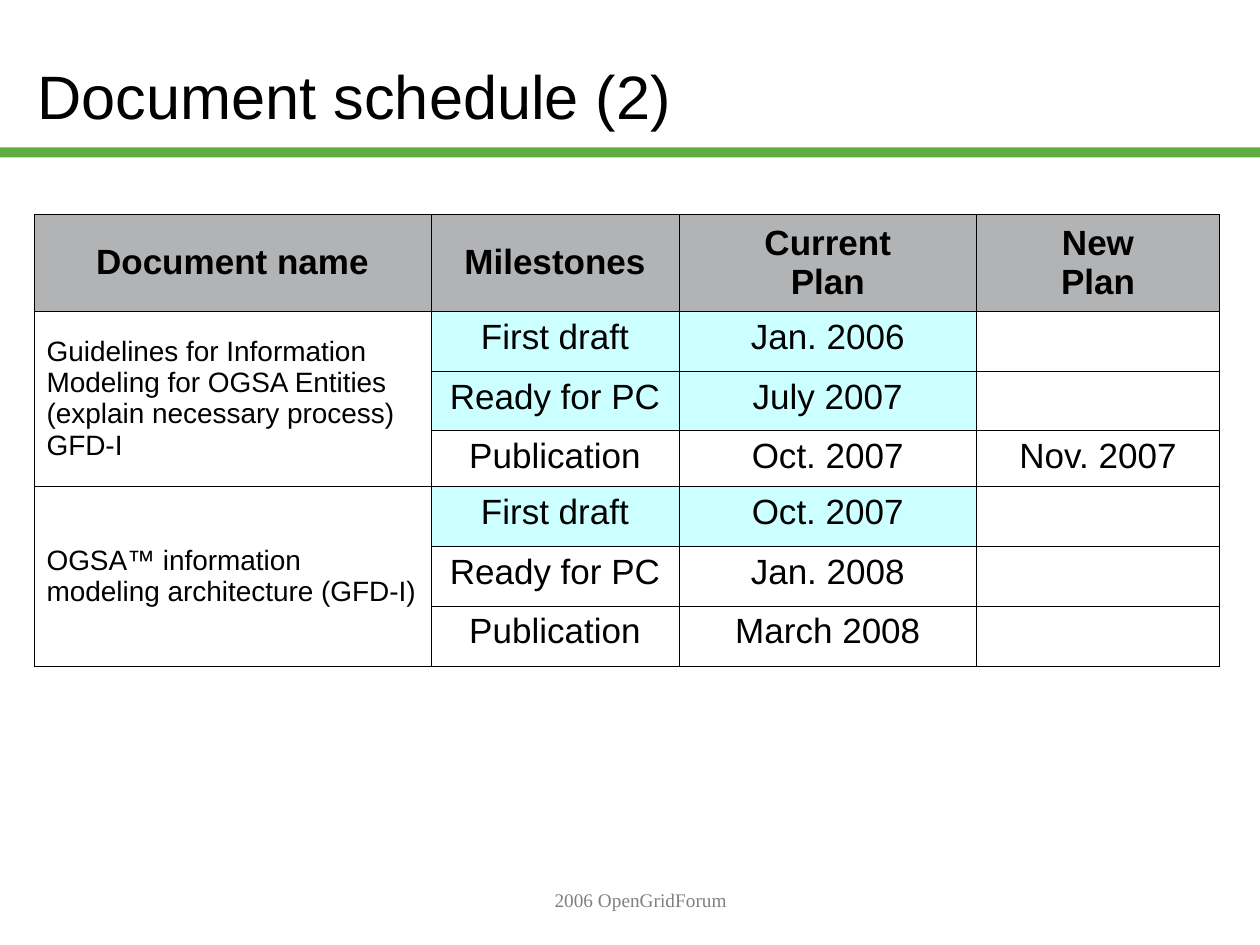
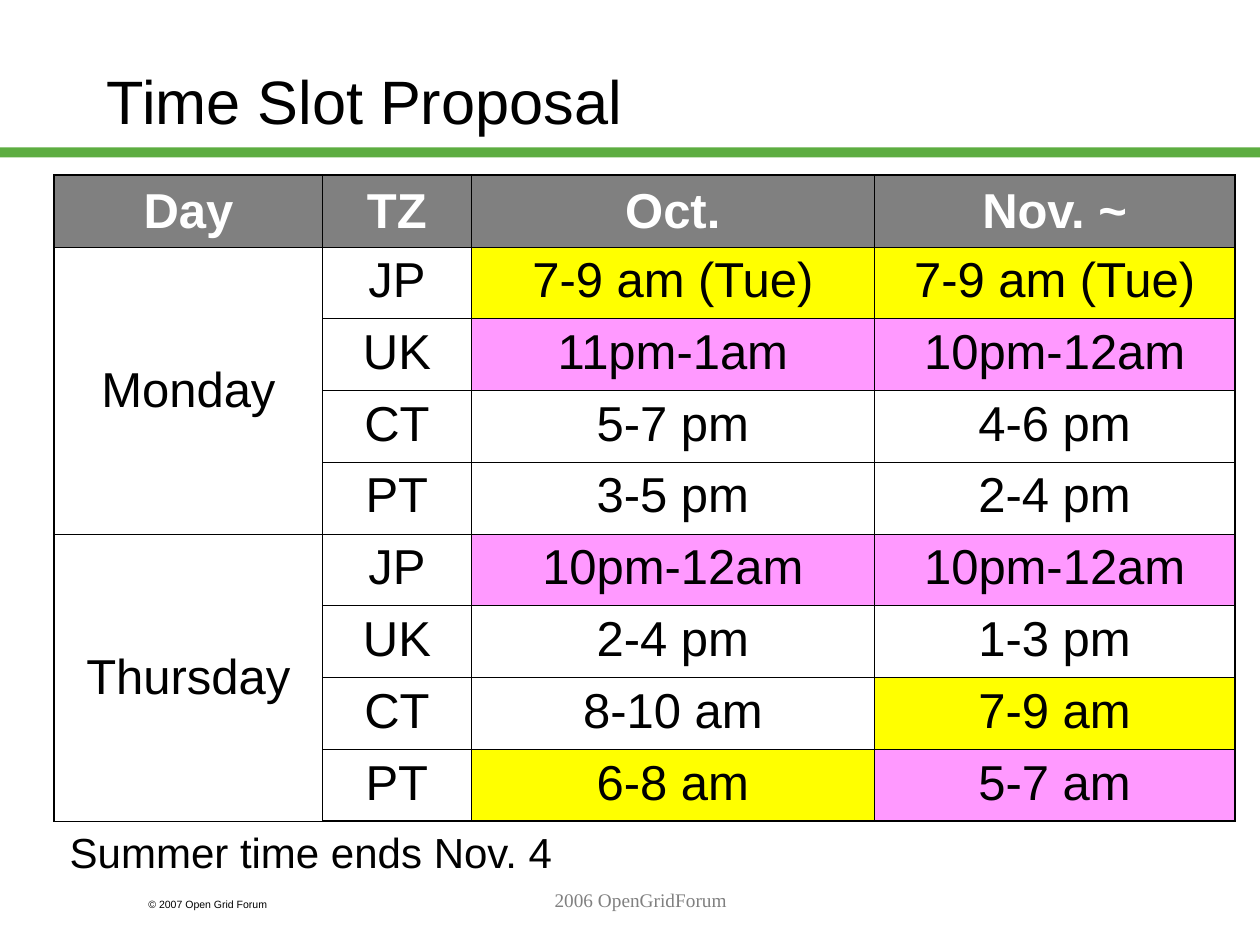
from lxml import etree
from pptx import Presentation
from pptx.dml.color import RGBColor
from pptx.enum import shapes, text
from pptx.oxml import ns
from pptx.util import Inches, Pt

COLOURS = {
    "ink": "000000", "paper": "FFFFFF", "band": "5DAD41", "footer": "808080",
    "silver": "B2B3B5", "grey": "808080", "done": "CCFFFF",
    "early": "FFFF00", "late": "FF99FF",
}
SANS, SERIF = "Arial", "Times New Roman"
LEFT, CENTER, RIGHT = text.PP_ALIGN.LEFT, text.PP_ALIGN.CENTER, text.PP_ALIGN.RIGHT
TOP, MIDDLE = text.MSO_ANCHOR.TOP, text.MSO_ANCHOR.MIDDLE
THIN, THICK = 0.45, 1.08

SCHEDULE = [
    ["Document name", "Milestones", "Current\nPlan", "New\nPlan"],
    ["Guidelines for Information Modeling for OGSA Entities\n"
     "(explain necessary process)\nGFD-I", "First draft", "Jan. 2006", ""],
    ["", "Ready for PC", "July 2007", ""],
    ["", "Publication", "Oct. 2007", "Nov. 2007"],
    ["OGSA™ information\nmodeling architecture (GFD-I)", "First draft", "Oct. 2007", ""],
    ["", "Ready for PC", "Jan. 2008", ""],
    ["", "Publication", "March 2008", ""],
]
SCHEDULE_FILLS = {(row, column): "done" for row in (1, 2, 4) for column in (1, 2)}

SLOTS = [
    ["Day", "TZ", "Oct.", "Nov. ~"],
    ["Monday", "JP", "7-9 am (Tue)", "7-9 am (Tue)"],
    ["", "UK", "11pm-1am", "10pm-12am"],
    ["", "CT", "5-7 pm", "4-6 pm"],
    ["", "PT", "3-5 pm", "2-4 pm"],
    ["Thursday", "JP", "10pm-12am", "10pm-12am"],
    ["", "UK", "2-4 pm", "1-3 pm"],
    ["", "CT", "8-10 am", "7-9 am"],
    ["", "PT", "6-8 am", "5-7 am"],
]
SLOT_FILLS = {
    (1, 2): "early", (1, 3): "early", (2, 2): "late", (2, 3): "late",
    (5, 2): "late", (5, 3): "late", (7, 3): "early", (8, 2): "early", (8, 3): "late",
}


def rgb(name):
    return RGBColor.from_string(COLOURS[name])


def write(frame, words, size, colour="ink", font=SANS, bold=False, align=LEFT):
    for index, line in enumerate(words.split("\n")):
        para = frame.paragraphs[0] if index == 0 else frame.add_paragraph()
        para.alignment = align
        span = para.add_run()
        span.text = line
        span.font.size = Pt(size)
        span.font.name = font
        span.font.bold = bold
        span.font.color.rgb = rgb(colour)


def add_text(page, place, words, size, anchor=TOP, wrap=True, **style):
    box = page.shapes.add_textbox(*map(Inches, place))
    box.text_frame.word_wrap = wrap
    box.text_frame.vertical_anchor = anchor
    write(box.text_frame, words, size, **style)


def add_page(deck, title, left, top):
    page = deck.slides.add_slide(deck.slide_layouts[6])
    band = page.shapes.add_shape(shapes.MSO_SHAPE.RECTANGLE, 0, Inches(1.17),
                                 deck.slide_width, Inches(0.08))
    band.shadow.inherit = False
    band.fill.solid()
    band.fill.fore_color.rgb = rgb("band")
    band.line.fill.background()
    add_text(page, (left, top, 8.5, 1.25), title, 35, anchor=MIDDLE)
    add_text(page, (2.17, 7, 5.83, 0.5), "2006 OpenGridForum", 11,
             colour="footer", font=SERIF, align=CENTER)
    return page


def set_borders(cell, widths):
    properties = cell._tc.get_or_add_tcPr()
    for side, width in zip("LRTB", widths):
        line = etree.SubElement(properties, ns.qn(f"a:ln{side}"), w=str(Pt(width)))
        fill = etree.SubElement(line, ns.qn("a:solidFill"))
        etree.SubElement(fill, ns.qn("a:srgbClr"), val=COLOURS["ink"])


def set_fill(cell, name):
    if name:
        cell.fill.solid()
        cell.fill.fore_color.rgb = rgb(name)
    else:
        cell.fill.background()


def add_grid(page, left, top, widths, heights, rows, fills, header_fill, header_ink,
             size, label_size, label_align, group, frame_width):
    frame = page.shapes.add_table(len(rows), len(widths), Inches(left), Inches(top),
                                  Inches(sum(widths)), Inches(sum(heights)))
    table = frame.table
    table.first_row = table.horz_banding = False
    for column, width in zip(table.columns, widths):
        column.width = Inches(width)
    for row, height in zip(table.rows, heights):
        row.height = Inches(height)
    last_row, last_column = len(rows) - 1, len(widths) - 1
    for r, row in enumerate(rows):
        for c, words in enumerate(row):
            cell = table.cell(r, c)
            header, label = r == 0, r > 0 and c == 0
            edges = (c == 0, c == last_column, r == 0, r == last_row)
            set_borders(cell, [frame_width if edge else THIN for edge in edges])
            set_fill(cell, header_fill if header else fills.get((r, c)))
            cell.vertical_anchor = MIDDLE if header or label else TOP
            if words:
                write(cell.text_frame, words, label_size if label else size,
                      colour=header_ink if header else "ink", bold=header,
                      align=label_align if label else CENTER)
    for first in range(1, len(rows), group):
        table.cell(first, 0).merge(table.cell(first + group - 1, 0))


def add_schedule(deck):
    page = add_page(deck, "Document schedule (2)", 0.2, 0.13)
    add_grid(page, 0.27, 1.7, [3.15, 1.97, 2.36, 1.93],
             [0.77, 0.48, 0.47, 0.44, 0.48, 0.47, 0.48], SCHEDULE, SCHEDULE_FILLS,
             "silver", "ink", size=20, label_size=16, label_align=LEFT,
             group=3, frame_width=THIN)


def add_time_slots(deck):
    page = add_page(deck, "Time Slot Proposal", 0.75, 0.17)
    add_grid(page, 0.43, 1.39, [2.13, 1.18, 3.2, 2.86], [0.57] * len(SLOTS),
             SLOTS, SLOT_FILLS, "grey", "paper", size=28, label_size=28,
             label_align=CENTER, group=4, frame_width=THICK)
    add_text(page, (0.43, 6.51, 4.05, 0.5), "Summer time ends Nov. 4", 24,
             wrap=False, align=RIGHT)
    add_text(page, (1.08, 7.08, 1.5, 0.2), "© 2007 Open Grid Forum", 6)


def main():
    deck = Presentation()
    deck.slide_width, deck.slide_height = Inches(10), Inches(7.5)
    add_schedule(deck)
    add_time_slots(deck)
    deck.save("out.pptx")


if __name__ == "__main__":
    main()
